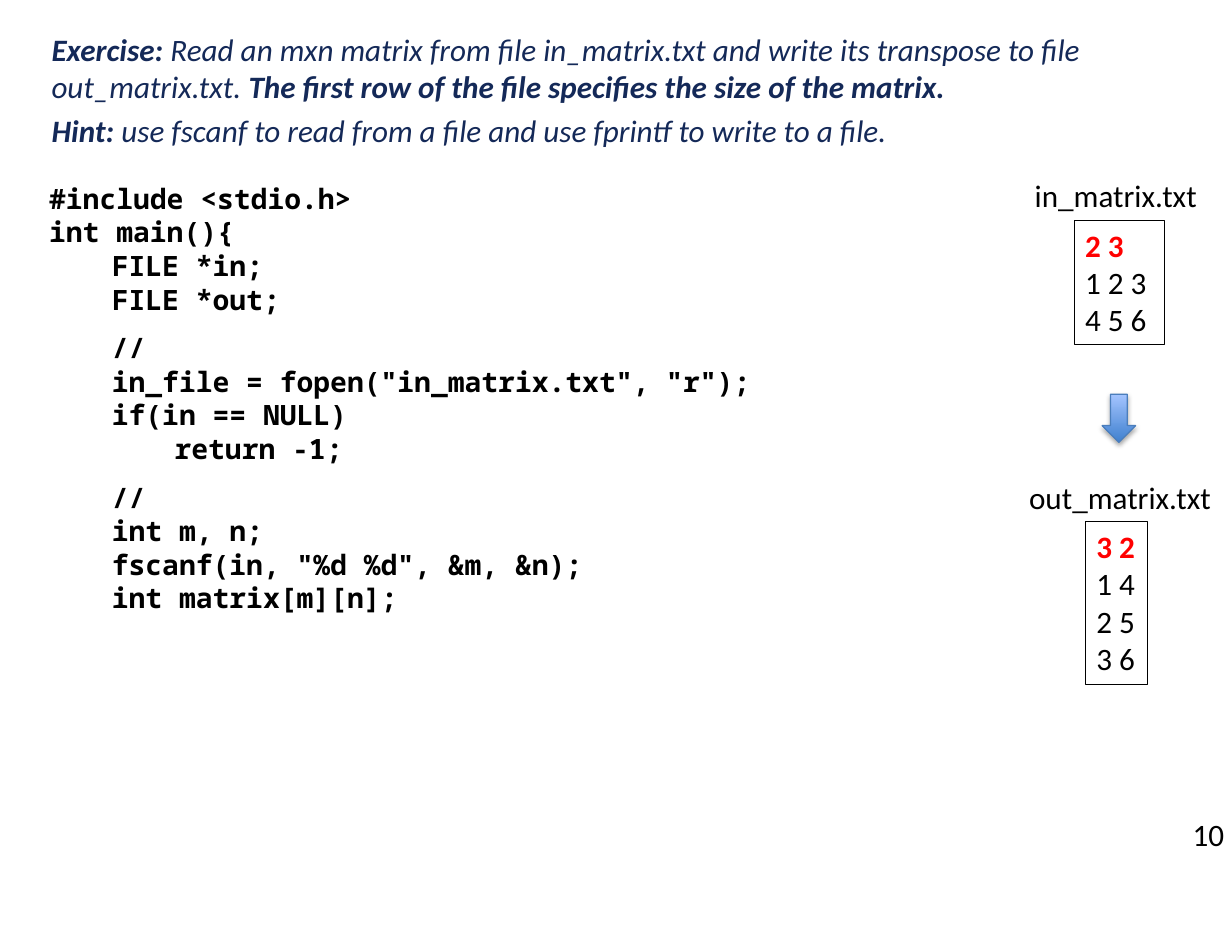
import pptx
import pptx.util
import pptx.dml.color
import pptx.enum.shapes
import pptx.enum.text
import pptx.oxml
import pptx.oxml.ns

Inches, Pt = pptx.util.Inches, pptx.util.Pt
RGBColor = pptx.dml.color.RGBColor
MSO_SHAPE = pptx.enum.shapes.MSO_SHAPE
MSO_ANCHOR = pptx.enum.text.MSO_ANCHOR
PP_ALIGN = pptx.enum.text.PP_ALIGN
MSO_AUTO_SIZE = pptx.enum.text.MSO_AUTO_SIZE

NAVY = RGBColor(0x14, 0x29, 0x58)
BLACK = RGBColor(0, 0, 0)
RED = RGBColor(0xFF, 0, 0)
BLUE = RGBColor(0x3F, 0x80, 0xCE)
LIGHT_BLUE = RGBColor(0xA4, 0xC4, 0xFF)
EDGE_BLUE = RGBColor(0x4B, 0x7E, 0xBC)
NS = pptx.oxml.ns.nsdecls("a")


class Deck:
    font, code_font = "Calibri", "Noto Sans Mono"
    size, code_size = Pt(20), Pt(18)
    code_pitch, code_gap = Pt(21.6), Pt(9.6)
    tab = Inches(0.56)

    def __init__(self, width, height):
        self.prs = pptx.Presentation()
        self.prs.slide_width, self.prs.slide_height = Inches(width), Inches(height)
        self.s = self.prs.slides.add_slide(self.prs.slide_layouts[1])
        title = self.s.shapes.title
        title.element.getparent().remove(title.element)

    def para(self, tf, i):
        return tf.paragraphs[0] if i == 0 else tf.add_paragraph()

    def run(self, p, text, color=BLACK, bold=False, italic=False, font=None, size=None):
        r = p.add_run()
        r.text = text
        r.font.name, r.font.size = font or self.font, size or self.size
        r.font.bold, r.font.italic = bold, italic
        r.font.color.rgb = color

    def body(self, box, paragraphs):
        sp = self.s.placeholders[1]
        sp.left, sp.top, sp.width, sp.height = map(Inches, box)
        tf = sp.text_frame
        tf.auto_size = MSO_AUTO_SIZE.NONE
        for i, runs in enumerate(paragraphs):
            p = self.para(tf, i)
            p.space_before = Pt(4)
            pPr = p._p.get_or_add_pPr()
            pPr.set("marL", "0")
            pPr.set("indent", "0")
            pPr.append(pptx.oxml.parse_xml(f"<a:buNone {NS}/>"))
            for text, bold in runs:
                self.run(p, text, NAVY, bold, True)

    def label(self, box, text):
        tf = self.s.shapes.add_textbox(*map(Inches, box)).text_frame
        tf.word_wrap = False
        self.run(tf.paragraphs[0], text)

    def code(self, box, blocks):
        tf = self.s.shapes.add_textbox(*map(Inches, box)).text_frame
        tf.word_wrap = True
        lines = [(n, line) for block in blocks for n, line in enumerate(block)]
        for i, (n, line) in enumerate(lines):
            p = self.para(tf, i)
            p.line_spacing = self.code_pitch
            if i and n == 0:
                p.space_before = self.code_gap
            stops = "".join(f'<a:tab pos="{k * self.tab}" algn="l"/>' for k in (1, 2))
            p._p.get_or_add_pPr().append(
                pptx.oxml.parse_xml(f"<a:tabLst {NS}>{stops}</a:tabLst>"))
            self.run(p, line, bold=True, font=self.code_font, size=self.code_size)

    def file_box(self, box, rows):
        sp = self.s.shapes.add_shape(MSO_SHAPE.RECTANGLE, *map(Inches, box))
        sp.shadow.inherit = False
        sp.fill.background()
        sp.line.color.rgb, sp.line.width = BLACK, Pt(0.75)
        tf = sp.text_frame
        tf.word_wrap = True
        tf.vertical_anchor = MSO_ANCHOR.TOP
        for i, row in enumerate(rows):
            p = self.para(tf, i)
            p.alignment = PP_ALIGN.LEFT
            # The first row holds the matrix size
            self.run(p, row, BLACK if i else RED, bold=i == 0)

    def down_arrow(self, box):
        sp = self.s.shapes.add_shape(MSO_SHAPE.DOWN_ARROW, *map(Inches, box))
        sp.line.color.rgb, sp.line.width = EDGE_BLUE, Pt(0.75)
        sp.fill.gradient()
        sp.fill.gradient_angle = 90
        for stop, pos, color in zip(sp.fill.gradient_stops, (0, 1), (BLUE, LIGHT_BLUE)):
            stop.position, stop.color.rgb = pos, color
        sp.element.spPr.append(pptx.oxml.parse_xml(
            f'<a:effectLst {NS}><a:outerShdw blurRad="{Pt(3.1)}" dist="{Pt(1.8)}" '
            'dir="5400000" rotWithShape="0"><a:srgbClr val="000000">'
            '<a:alpha val="35000"/></a:srgbClr></a:outerShdw></a:effectLst>'))


deck = Deck(11, 8.5)

# Exercise statement
deck.body((0.36, 0.22, 10.41, 0.81), [
    [("Exercise: ", True),
     ("Read an mxn matrix from file in_matrix.txt and write its transpose "
      "to file out_matrix.txt. ", False),
     ("The first row of the file specifies the size of the matrix.", True)],
    [("Hint: ", True),
     ("use fscanf to read from a file and use fprintf to write to a file.", False)],
])

# Slide number
deck.label((10.55, 7.23, 0.49, 0.44), "10")

# Program
deck.code((0.34, 1.57, 10.55, 5.22), [
    ["#include <stdio.h>", "int main(){", "\tFILE *in;", "\tFILE *out;"],
    ["\t//", '\tin_file = fopen("in_matrix.txt", "r");', "\tif(in == NULL)",
     "\t\treturn -1;"],
    ["\t//", "\tint m, n;", '\tfscanf(in, "%d %d", &m, &n);', "\tint matrix[m][n];"],
])

# Input file, arrow, output file
deck.file_box((9.59, 1.97, 0.81, 1.11), ["2 3", "1 2 3", "4 5 6"])
deck.label((9.14, 1.53, 1.66, 0.44), "in_matrix.txt")
deck.file_box((9.69, 4.66, 0.56, 1.45), ["3 2", "1 4 ", "2 5 ", "3 6"])
deck.label((9.09, 4.22, 1.84, 0.44), "out_matrix.txt")
deck.down_arrow((9.84, 3.52, 0.3, 0.43))

deck.prs.save("out.pptx")
